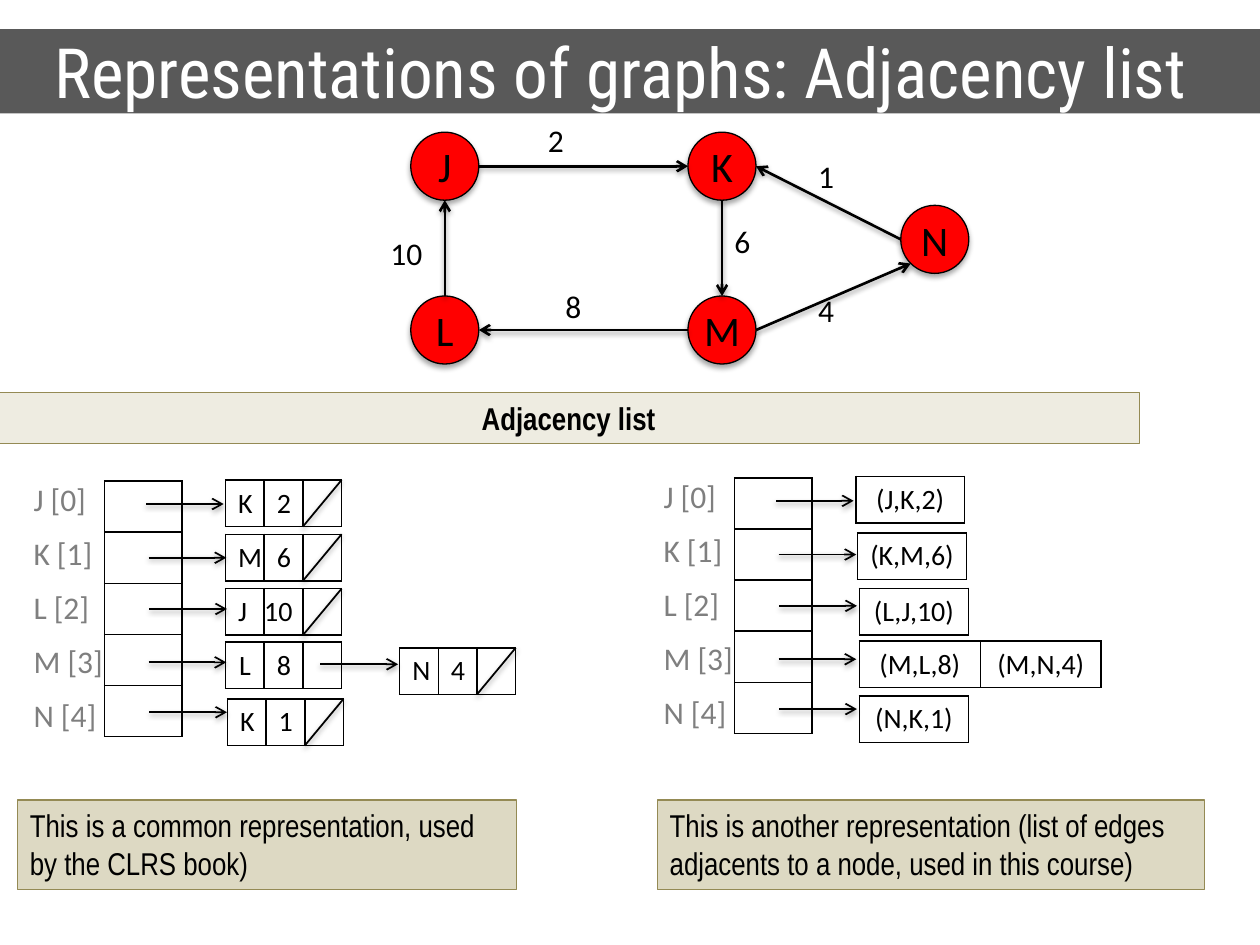
"""Build a slide that shows a weighted graph and two adjacency list layouts."""
from pptx import Presentation
from pptx.dml.color import RGBColor
from pptx.enum.shapes import MSO_CONNECTOR, MSO_SHAPE
from pptx.enum.text import MSO_ANCHOR, MSO_AUTO_SIZE, PP_ALIGN
from pptx.oxml import parse_xml
from pptx.oxml.ns import nsdecls
from pptx.util import Pt

COLORS = {
    "black": "000000", "white": "FFFFFF", "title": "595959", "node": "FF0000",
    "banner": "EEECE1", "note": "DDD9C3", "edge": "948A54", "label": "7F7F7F",
}
LEFT, CENTER = PP_ALIGN.LEFT, PP_ALIGN.CENTER


def write_text(frame, text, font="Calibri", size=18, color="black", bold=False,
               align=LEFT, anchor=MSO_ANCHOR.TOP, wrap=True, gap=0):
    frame.word_wrap = wrap
    frame.vertical_anchor = anchor
    frame.text = text
    for index, paragraph in enumerate(frame.paragraphs):
        paragraph.alignment = align
        paragraph.space_before = Pt(gap if index else 0)
        paragraph.font.size = Pt(size)
        for run in paragraph.runs:
            run.font.name = font
            run.font.size = Pt(size)
            run.font.bold = bold
            run.font.color.rgb = RGBColor.from_string(COLORS[color])


def add_shadow(shape, distance, opacity):
    shape._element.spPr.append(parse_xml(
        f'<a:effectLst {nsdecls("a")}><a:outerShdw blurRad="{Pt(3.1)}" dist="{Pt(distance)}" '
        f'dir="5400000" rotWithShape="0"><a:srgbClr val="{COLORS["black"]}">'
        f'<a:alpha val="{opacity * 1000}"/></a:srgbClr></a:outerShdw></a:effectLst>'))


presentation = Presentation()
presentation.slide_width, presentation.slide_height = Pt(720), Pt(540)
slide = presentation.slides.add_slide(presentation.slide_layouts[5])
shapes = slide.shapes

title = shapes.title
title.left, title.top, title.width, title.height = Pt(-1.4), Pt(16.6), Pt(721.4), Pt(48.2)
title.fill.solid()
title.fill.fore_color.rgb = RGBColor.from_string(COLORS["title"])
write_text(title.text_frame, "Representations of graphs: Adjacency list ", font="Roboto Condensed",
           size=39.6, color="white", align=CENTER, anchor=MSO_ANCHOR.MIDDLE)
title.text_frame.auto_size = MSO_AUTO_SIZE.NONE

panels = [
    ("Adjacency list", -1.4, 224.4, 652.6, 29, "banner", True, CENTER),
    ("This is a common representation, used by the CLRS book)",
     10, 457.2, 285.2, 51, "note", False, LEFT),
    ("This is another representation (list of edges adjacents to a node, used in this course)",
     375.6, 457.2, 312.7, 51, "note", False, LEFT),
]
for text, left, top, width, height, fill, bold, align in panels:
    panel = shapes.add_shape(MSO_SHAPE.RECTANGLE, Pt(left), Pt(top), Pt(width), Pt(height))
    panel.shadow.inherit = False
    panel.fill.solid()
    panel.fill.fore_color.rgb = RGBColor.from_string(COLORS[fill])
    panel.line.color.rgb = RGBColor.from_string(COLORS["edge"])
    panel.line.width = Pt(0.75)
    write_text(panel.text_frame, text, font="Arial Narrow", bold=bold, align=align)

radius = 19.45
nodes = {"J": (254.2, 95), "K": (412.6, 95), "L": (254.2, 188.6),
         "M": (412.6, 188.6), "N": (534.2, 136.8)}
for name, (x, y) in nodes.items():
    node = shapes.add_shape(MSO_SHAPE.OVAL, Pt(x - radius), Pt(y - radius),
                            Pt(2 * radius), Pt(2 * radius))
    node.fill.solid()
    node.fill.fore_color.rgb = RGBColor.from_string(COLORS["node"])
    node.line.color.rgb = RGBColor.from_string(COLORS["black"])
    node.line.width = Pt(0.75)
    add_shadow(node, 1.8, 35)
    write_text(node.text_frame, name, size=24, align=CENTER, anchor=MSO_ANCHOR.MIDDLE)
    node.text_frame.margin_left = node.text_frame.margin_right = Pt(2.9)

lines = []
edges = [
    ("J", (1, 0), "K", (-1, 0), "2", 306, 65.5),
    ("L", (0, -1), "J", (0, 1), "10", 216, 130.3),
    ("M", (-1, 0), "L", (1, 0), "8", 316, 160.6),
    ("K", (0, 1), "M", (0, -1), "6", 412.6, 123.5),
    ("M", (1, 0), "N", (-0.71, 0.71), "4", 460.4, 163),
    ("N", (-1, 0), "K", (1, 0), "1", 460.4, 85.9),
]
for start, start_side, end, end_side, weight, left, top in edges:
    points = [center + radius * side
              for name, sides in ((start, start_side), (end, end_side))
              for center, side in zip(nodes[name], sides)]
    lines.append((*points, 1.5, True))
    label = shapes.add_textbox(Pt(left), Pt(top), Pt(14.4 + 9.2 * len(weight)), Pt(29))
    write_text(label.text_frame, weight, wrap=False)

cell_width, cell_height = 22.1, 26.6
tables = [
    (128.9, 274.3, cell_width, cell_height, CENTER, [["K", "2", ""]]),
    (128.9, 305.3, cell_width, cell_height, CENTER, [["M", "6", ""]]),
    (128.9, 336.4, cell_width, cell_height, LEFT, [["J", "10", ""]]),
    (228.4, 370.2, cell_width, cell_height, LEFT, [["N", "4", ""]]),
    (130, 399.4, cell_width, cell_height, CENTER, [["K", "1", ""]]),
]
for left, top, *rest in tables:
    lines.append((left + 2 * cell_width, top + cell_height, left + 3 * cell_width, top, 1, False))
tables += [
    (128.9, 366.9, cell_width, cell_height, CENTER, [["L", "8", ""]]),
    (489, 272.2, 62.3, cell_height, CENTER, [["(J,K,2)"]]),
    (490, 304.5, 62.3, cell_height, CENTER, [["(K,M,6)"]]),
    (491.1, 336.2, 62.3, cell_height, CENTER, [["(L,J,10)"]]),
    (491.1, 366.3, 69.1, cell_height, CENTER, [["(M,L,8)", "(M,N,4)"]]),
    (491.1, 397.7, 62.3, cell_height, CENTER, [["(N,K,1)"]]),
]
lines.append((183, 379.6, 227.5, 379.6, 1, True))

arrow_starts = [(83.5, 288), (85, 318.7), (85.4, 348), (85, 378.5), (85.4, 407)]
for shift_x, shift_y in ((0, 0), (360, -1.8)):
    tables.append((59.8 + shift_x, 274.9 + shift_y, 44.3, 29.2, LEFT, [[""]] * 5))
    names = shapes.add_textbox(Pt(12.1 + shift_x), Pt(270.9 + shift_y), Pt(54.7), Pt(154.8))
    write_text(names.text_frame, "\n".join(f"{name} [{index}]" for index, name in enumerate("JKLMN")),
               color="label", wrap=False, gap=9.2)
    for x, y in arrow_starts:
        lines.append((x + shift_x, y + shift_y, x + shift_x + 44.3, y + shift_y, 1, True))

for left, top, column_width, row_height, align, rows in tables:
    table = shapes.add_table(len(rows), len(rows[0]), Pt(left), Pt(top),
                             Pt(column_width * len(rows[0])), Pt(row_height * len(rows))).table
    table.first_row = table.horz_banding = False
    for column in table.columns:
        column.width = Pt(column_width)
    for row, texts in zip(table.rows, rows):
        row.height = Pt(row_height)
        for cell, text in zip(row.cells, texts):
            cell.fill.background()
            if text:
                write_text(cell.text_frame, text, size=16, align=align)
            else:
                cell.margin_top = cell.margin_bottom = Pt(0)
            if text == "10":
                cell.margin_left = cell.margin_right = Pt(0)
            properties = cell._tc.get_or_add_tcPr()
            for position, side in enumerate("LRTB"):
                properties.insert(position, parse_xml(
                    f'<a:ln{side} {nsdecls("a")} w="{Pt(1)}"><a:solidFill>'
                    f'<a:srgbClr val="{COLORS["black"]}"/></a:solidFill></a:ln{side}>'))

for start_x, start_y, end_x, end_y, width, has_arrow in lines:
    connector = shapes.add_connector(MSO_CONNECTOR.STRAIGHT, Pt(start_x), Pt(start_y),
                                     Pt(end_x), Pt(end_y))
    connector.line.color.rgb = RGBColor.from_string(COLORS["black"])
    connector.line.width = Pt(width)
    if has_arrow:
        connector.line._get_or_add_ln().append(
            parse_xml(f'<a:tailEnd {nsdecls("a")} type="arrow"/>'))
    add_shadow(connector, 1.6, 38)

presentation.save("out.pptx")
